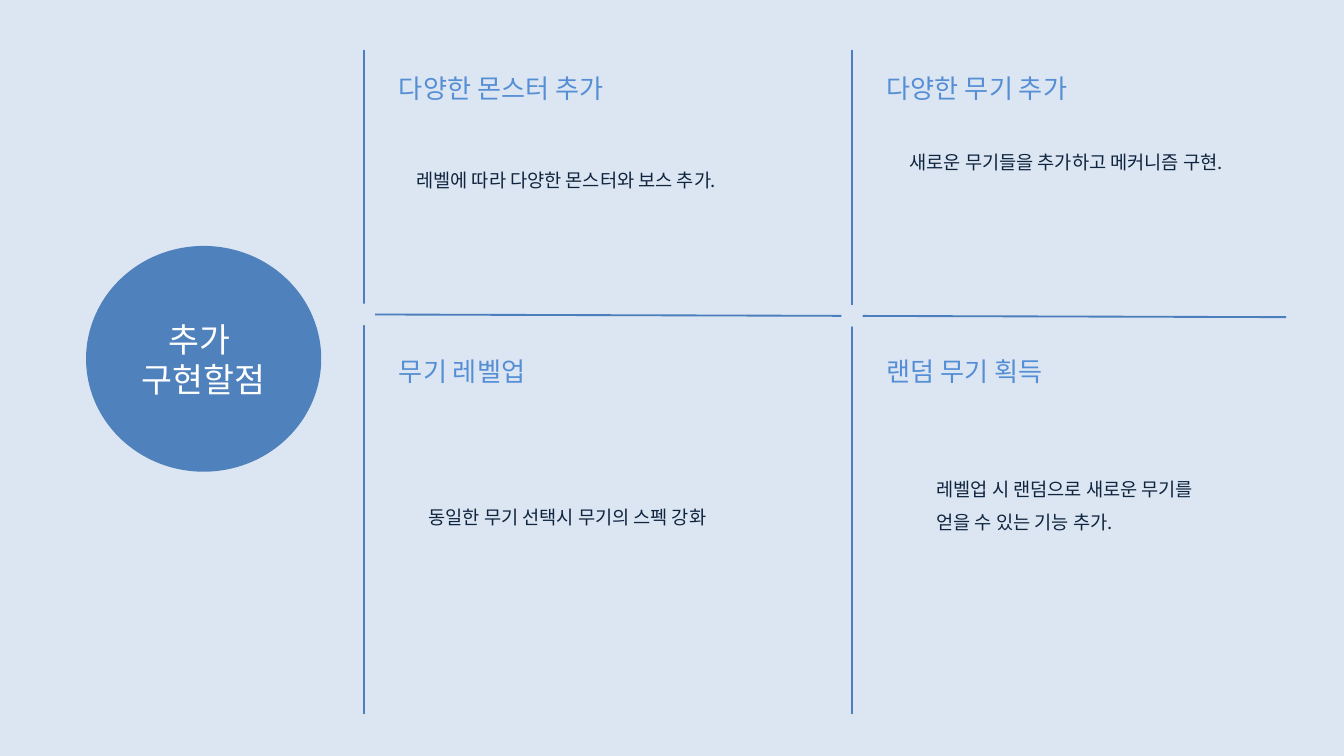
from lxml import etree
from pptx import Presentation
from pptx import util as u
from pptx.dml.color import RGBColor
from pptx.enum import shapes, text
from pptx.oxml import ns

PALE = RGBColor(0xDC, 0xE6, 0xF2)
BLUE = RGBColor(0x4F, 0x81, 0xBD)
RULE = RGBColor(0x4B, 0x7E, 0xBC)
HEADING = RGBColor(0x55, 0x8E, 0xD5)
NAVY = RGBColor(0x0F, 0x24, 0x3E)
WHITE = RGBColor(0xFF, 0xFF, 0xFF)
FONT = "Noto Sans CJK KR"

WIDTH = 10
HEIGHT = WIDTH * 9 / 16
COLUMNS = (2.71, 6.34)      # left rule of each grid column
ROWS = (0.37, 2.48)         # top of each grid row
RULE_BOTTOM = 5.31
CROSS_LEFT, CROSS_RIGHT = (2.71, 2.34), (9.57, 2.36)
HEADING_INDENT = 0.16
GAP = 0.16

# column, row, heading, heading width, body offset in the cell, body size, body lines
CELLS = (
    (0, 0, "다양한 몬스터 추가", 1.91, (0.29, 0.75), (2.72, 0.32),
     ["레벨에 따라 다양한 몬스터와 보스 추가."]),
    (1, 0, "다양한 무기 추가", 1.71, (0.33, 0.62), (2.81, 0.32),
     ["새로운 무기들을 추가하고 메커니즘 구현."]),
    (0, 1, "무기 레벨업", 1.25, (0.38, 1.15), (2.55, 0.32),
     ["동일한 무기 선택시 무기의 스펙 강화"]),
    (1, 1, "랜덤 무기 획득", 1.52, (0.53, 0.94), (2.41, 0.57),
     ["레벨업 시 랜덤으로 새로운 무기를", "얻을 수 있는 기능 추가."]),
)


def inches(*lengths):
    return [u.Inches(n) for n in lengths]


def add_shape(s, kind, box, color):
    sp = s.shapes.add_shape(kind, *inches(*box))
    sp.shadow.inherit = False
    sp.fill.solid()
    sp.fill.fore_color.rgb = color
    sp.line.fill.background()
    return sp


def add_rule(s, start, end):
    line = s.shapes.add_connector(
        shapes.MSO_CONNECTOR.STRAIGHT, *inches(*start, *end))
    line.line.color.rgb = RULE
    line.line.width = u.Pt(1)
    etree.SubElement(line._element.spPr, ns.qn("a:effectLst"))


def write(tf, lines, size, color, align=text.PP_ALIGN.LEFT, spacing=None):
    """Put each line in its own paragraph, with the font set for Korean too."""
    for i, line in enumerate(lines):
        p = tf.paragraphs[0] if i == 0 else tf.add_paragraph()
        p.alignment = align
        p.line_spacing = spacing
        r = p.add_run()
        r.text = line
        r.font.name = FONT
        r.font.size = u.Pt(size)
        r.font.color.rgb = color
        east_asian = etree.SubElement(r.font._element, ns.qn("a:ea"))
        east_asian.set("typeface", FONT)


def add_text(s, box, lines, size, color):
    tf = s.shapes.add_textbox(*inches(*box)).text_frame
    tf.word_wrap = False
    tf.auto_size = text.MSO_AUTO_SIZE.SHAPE_TO_FIT_TEXT
    write(tf, lines, size, color, spacing=1.5)


def add_title_disc(s):
    sp = add_shape(s, shapes.MSO_SHAPE.OVAL, (0.64, 1.83, 1.75, 1.68), BLUE)
    tf = sp.text_frame
    tf.vertical_anchor = text.MSO_ANCHOR.MIDDLE
    write(tf, ["추가 ", "구현할점"], 18, WHITE, text.PP_ALIGN.CENTER)


def add_grid(s):
    """Draw the rules, then cover each crossing with a gap."""
    for x in COLUMNS:
        add_rule(s, (x, ROWS[0]), (x, RULE_BOTTOM))
    add_rule(s, CROSS_LEFT, CROSS_RIGHT)
    (left, top), (right, bottom) = CROSS_LEFT, CROSS_RIGHT
    for x in COLUMNS:
        y = top + (bottom - top) * (x - left) / (right - left)
        box = (x - GAP / 2, y - GAP / 2, GAP, GAP)
        add_shape(s, shapes.MSO_SHAPE.OVAL, box, PALE)


def add_cell(s, column, row, heading, width, offset, size, lines):
    x, y = COLUMNS[column], ROWS[row]
    add_text(s, (x + HEADING_INDENT, y, width, 0.41), [heading], 14, HEADING)
    add_text(s, (x + offset[0], y + offset[1], *size), lines, 10, NAVY)


def main():
    prs = Presentation()
    prs.slide_width, prs.slide_height = inches(WIDTH, HEIGHT)
    s = prs.slides.add_slide(prs.slide_layouts[6])
    add_shape(s, shapes.MSO_SHAPE.RECTANGLE, (0, 0, WIDTH, HEIGHT), PALE)
    add_title_disc(s)
    add_grid(s)
    for cell in CELLS:
        add_cell(s, *cell)
    prs.save("out.pptx")


if __name__ == "__main__":
    main()
